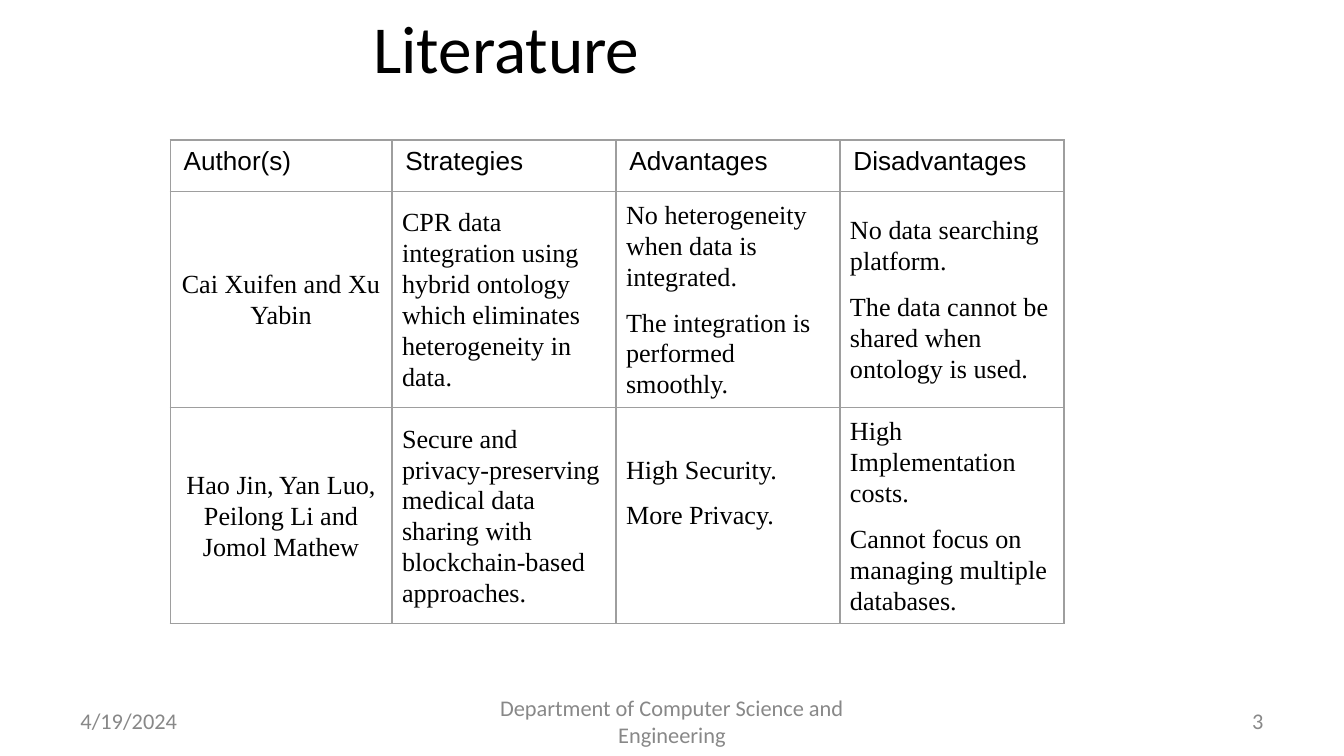
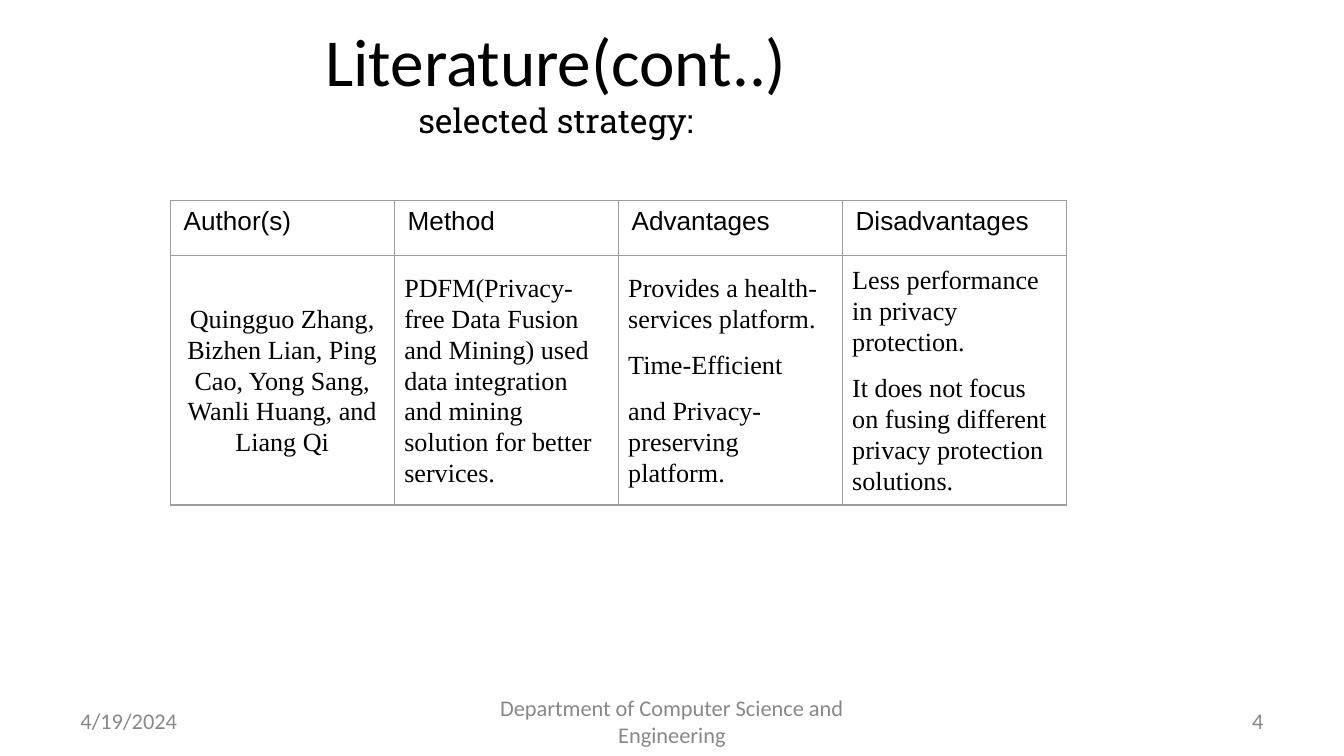
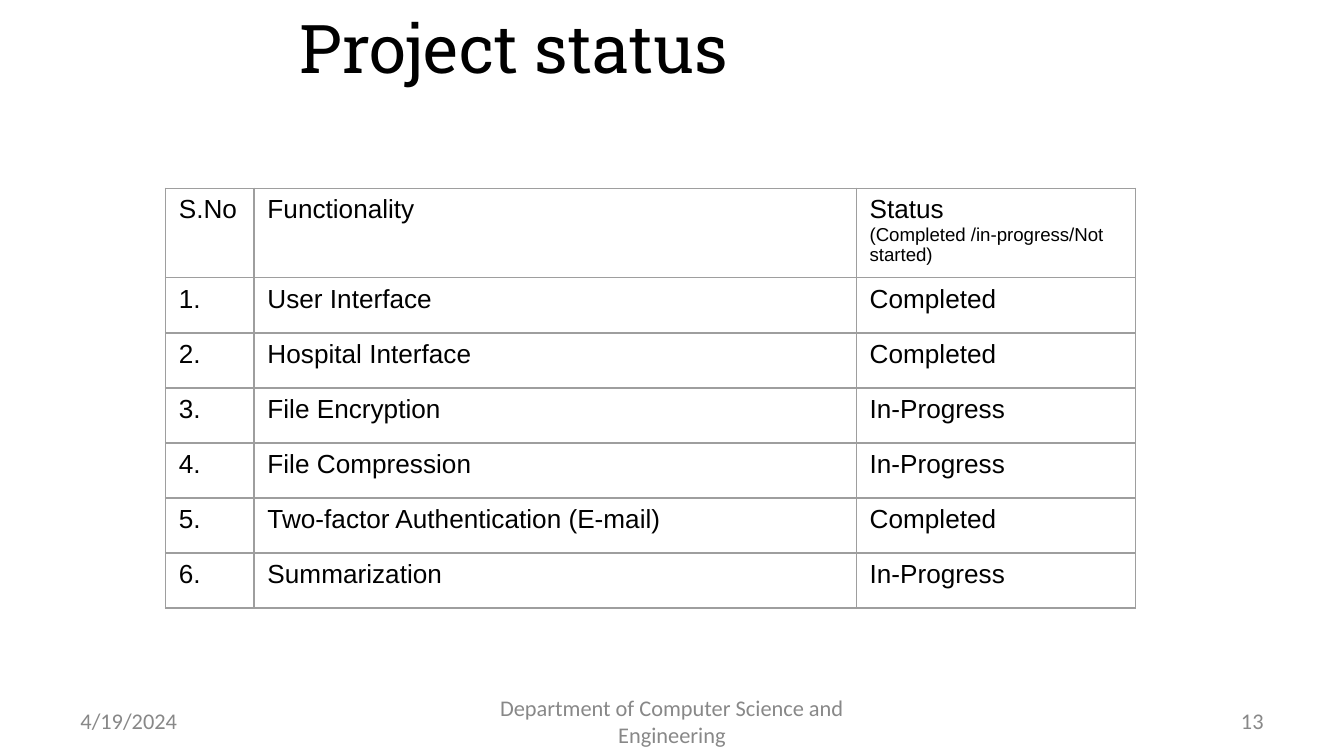
"""Build three project review slides: two literature tables and a status table."""
from lxml import etree
from pptx import Presentation
from pptx.dml.color import RGBColor
from pptx.enum import text
from pptx.oxml import ns
from pptx.util import Pt

BLACK = RGBColor(0x00, 0x00, 0x00)
FOOTER_GREY = RGBColor(0x88, 0x88, 0x88)
BORDER_GREY = RGBColor(0x9E, 0x9E, 0x9E)
LEFT, CENTER, RIGHT = text.PP_ALIGN.LEFT, text.PP_ALIGN.CENTER, text.PP_ALIGN.RIGHT
DATE = "4/19/2024"
DEPARTMENT = "Department of Computer Science and Engineering"
STATUS_NOTE = "(Completed /in-progress/Not started)"
ROW_HEIGHT = 29.5

PAGES = [
    {
        "number": "3",
        "title": [("Literature ", "Calibri", 36)],
        "title_at": (34.5, 0),
        "table_at": (91.2, 75, 257),
        "columns": [118.8, 120, 120, 120],
        "header_height": 27.4,
        "prose": True,
        "rows": [
            [["Author(s)"], ["Strategies"], ["Advantages"], ["Disadvantages"]],
            [["Cai Xuifen and Xu Yabin"],
             ["CPR data integration using hybrid ontology which eliminates heterogeneity in data."],
             ["No heterogeneity when data is integrated.", "The integration is performed smoothly."],
             ["No data searching platform.", "The data cannot be shared when ontology is used."]],
            [["Hao Jin, Yan Luo, Peilong Li and Jomol Mathew"],
             ["Secure and privacy-preserving medical data sharing with blockchain-based approaches."],
             ["High Security.", "More Privacy."],
             ["High Implementation costs.", "Cannot focus on managing multiple databases."]],
        ],
        "raised_cell": (2, 2),
    },
    {
        "number": "4",
        "title": [("Literature(cont..)", "Calibri", 36), ("selected strategy:", "Roboto Slab", 18)],
        "title_at": (57, 18),
        "table_at": (91.2, 107.3, 162),
        "columns": [120] * 4,
        "header_height": ROW_HEIGHT,
        "prose": True,
        "rows": [
            [["Author(s)"], ["Method"], ["Advantages"], ["Disadvantages"]],
            [["Quingguo Zhang, Bizhen Lian, Ping Cao, Yong Sang, Wanli Huang, and Liang Qi"],
             ["PDFM(Privacy-free Data Fusion and Mining) used data integration and mining "
              "solution for better services."],
             ["Provides a health-services platform.", "Time-Efficient",
              "and Privacy-preserving platform."],
             ["Less performance in privacy protection.",
              "It does not focus on fusing different privacy protection solutions."]],
        ],
        "raised_cell": None,
    },
    {
        "number": "13",
        "title": [("Project status", "Roboto Slab", 36)],
        "title_at": (34.5, 0),
        "table_at": (88.6, 100.8, 223.2),
        "columns": [47.5, 322.6, 149.8],
        "header_height": ROW_HEIGHT,
        "prose": False,
        "rows": [
            [["S.No"], ["Functionality"], ["Status", STATUS_NOTE]],
            [["1."], ["User Interface"], ["Completed"]],
            [["2."], ["Hospital Interface"], ["Completed"]],
            [["3."], ["File Encryption"], ["In-Progress"]],
            [["4."], ["File Compression"], ["In-Progress"]],
            [["5."], ["Two-factor Authentication (E-mail)"], ["Completed"]],
            [["6."], ["Summarization"], ["In-Progress"]],
        ],
        "raised_cell": None,
    },
]


def add_span(para, words, font, size, colour=BLACK):
    span = para.add_run()
    span.text = words
    span.font.name = font
    span.font.size = Pt(size)
    span.font.color.rgb = colour


def add_label(page, left, top, width, height, align):
    box = page.shapes.add_textbox(Pt(left), Pt(top), Pt(width), Pt(height))
    box.text_frame.word_wrap = True
    box.text_frame.vertical_anchor = text.MSO_ANCHOR.MIDDLE
    para = box.text_frame.paragraphs[0]
    para.alignment = align
    return para


deck = Presentation()
deck.slide_width, deck.slide_height = Pt(720), Pt(405)

for content in PAGES:
    page = deck.slides.add_slide(deck.slide_layouts[6])

    title = add_label(page, *content["title_at"], 481.7, 49.7, CENTER)
    for index, (words, font, size) in enumerate(content["title"]):
        if index:
            title.add_line_break()
        add_span(title, words, font, size)

    rows, columns = content["rows"], content["columns"]
    left, top, height = content["table_at"]
    frame = page.shapes.add_table(len(rows), len(columns), Pt(left), Pt(top),
                                  Pt(sum(columns)), Pt(height))
    table = frame.table
    table.first_row = table.horz_banding = False
    for column, width in zip(table.columns, columns):
        column.width = Pt(width)
    for index, row in enumerate(table.rows):
        row.height = Pt(ROW_HEIGHT if index else content["header_height"])
    frame.height = Pt(height)

    for row_index, row in enumerate(rows):
        for column_index, lines in enumerate(row):
            cell = table.cell(row_index, column_index)
            prose = content["prose"] and row_index > 0
            properties = cell._tc.get_or_add_tcPr()
            for side in ("a:lnL", "a:lnR", "a:lnT", "a:lnB"):
                line = etree.SubElement(properties, ns.qn(side), w=str(Pt(0.75)))
                fill = etree.SubElement(line, ns.qn("a:solidFill"))
                etree.SubElement(fill, ns.qn("a:srgbClr"), val=str(BORDER_GREY))
            cell.fill.background()
            if prose:
                cell.vertical_anchor = text.MSO_ANCHOR.MIDDLE
                cell.margin_left = cell.margin_right = Pt(5.4)
                cell.margin_top = cell.margin_bottom = Pt(0)
            if (row_index, column_index) == content["raised_cell"]:
                cell.margin_bottom = Pt(25)
            for index, words in enumerate(lines):
                para = cell.text_frame.add_paragraph() if index else cell.text_frame.paragraphs[0]
                para.alignment = CENTER if prose and column_index == 0 else LEFT
                if prose:
                    para.line_spacing = 1.07
                    para.space_after = Pt(8)
                add_span(para, words, "Times New Roman" if prose else "Arial",
                         10 if words == STATUS_NOTE else 14)

    for words, left, width, align in (
        (DATE, 36, 168, LEFT),
        (DEPARTMENT, 246, 228, CENTER),
        (content["number"], 516, 168, RIGHT),
    ):
        add_span(add_label(page, left, 375.4, width, 21.6, align), words, "Calibri", 12, FOOTER_GREY)

deck.save("out.pptx")
